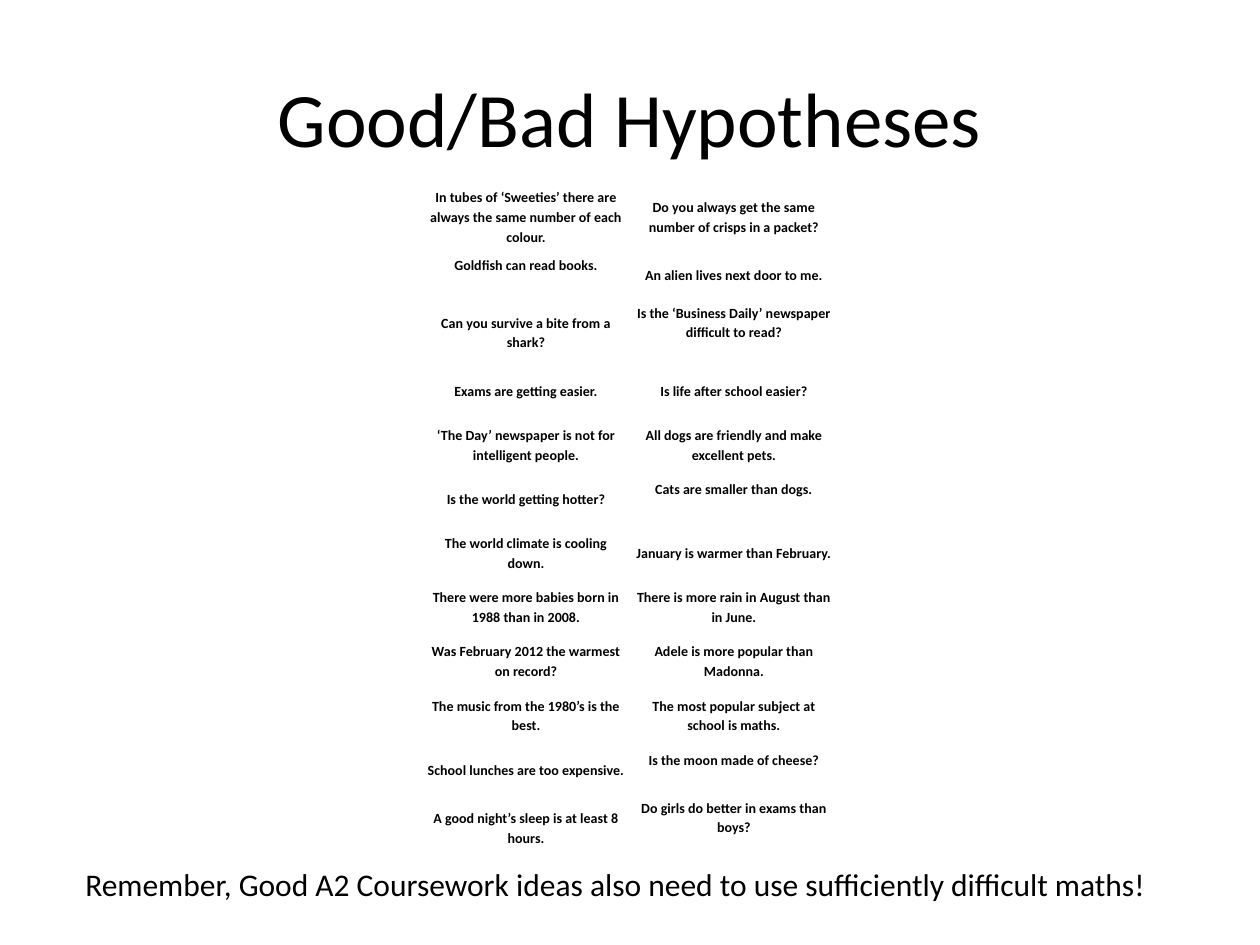
"""Build a slide with a two-column table of good and bad hypotheses."""
from lxml import etree
from pptx import Presentation
from pptx.dml.color import RGBColor
from pptx.enum.text import MSO_ANCHOR, PP_ALIGN
from pptx.oxml.ns import qn
from pptx.util import Inches, Pt

CENTER = PP_ALIGN.CENTER
MIDDLE = MSO_ANCHOR.MIDDLE
FONT = "Calibri"
BLACK = "000000"
WHITE = "FFFFFF"
COLUMN = 1.65
ROW = 0.43
TALL_ROW = 0.49
TALL_ROWS = (0, 2, 11)
LINE = 0.16

HYPOTHESES = [
    ("In tubes of ‘Sweeties’ there are always the same number of each colour.",
     "Do you always get the same number of crisps in a packet?"),
    ("Goldfish can read books.", "An alien lives next door to me."),
    ("Can you survive a bite from a shark?",
     "Is the ‘Business Daily’ newspaper difficult to read?"),
    ("Exams are getting easier.", "Is life after school easier?"),
    ("‘The Day’ newspaper is not for intelligent people.",
     "All dogs are friendly and make excellent pets."),
    ("Is the world getting hotter?", "Cats are smaller than dogs."),
    ("The world climate is cooling down.", "January is warmer than February."),
    ("There were more babies born in 1988 than in 2008.",
     "There is more rain in August than in June."),
    ("Was February 2012 the warmest on record?",
     "Adele is more popular than Madonna."),
    ("The music from the 1980’s is the best.",
     "The most popular subject at school is maths."),
    ("School lunches are too expensive.", "Is the moon made of cheese?"),
    ("A good night’s sleep is at least 8 hours.",
     "Do girls do better in exams than boys?"),
]
RAISED = {(1, 0), (2, 1), (5, 1), (10, 1), (11, 1)}


def write(frame, text, size, bold=False):
    frame.text = text
    para = frame.paragraphs[0]
    para.alignment = CENTER
    font = para.runs[0].font
    font.name, font.size, font.bold = FONT, Pt(size), bold
    font.color.rgb = RGBColor.from_string(BLACK)
    return para


def add_border(cell, side, width):
    line = etree.SubElement(cell._tc.get_or_add_tcPr(), qn(f"a:ln{side}"), w=str(Pt(width)))
    fill = etree.SubElement(line, qn("a:solidFill"))
    etree.SubElement(fill, qn("a:srgbClr"), val=WHITE)


deck = Presentation()
deck.slide_width, deck.slide_height = Inches(10), Inches(7.5)
page = deck.slides.add_slide(deck.slide_layouts[5])

title = page.shapes.title
title.left, title.top = Inches(0.5), Inches(0.3)
title.width, title.height = Inches(9), Inches(1.25)
title.text_frame.vertical_anchor = MIDDLE
write(title.text_frame, "Good/Bad Hypotheses", 44)

heights = [TALL_ROW if row in TALL_ROWS else ROW for row in range(len(HYPOTHESES))]
table = page.shapes.add_table(
    len(HYPOTHESES), 2, Inches(3.35), Inches(1.47),
    Inches(2 * COLUMN), Inches(sum(heights))).table
table.first_row = table.horz_banding = False
for column in table.columns:
    column.width = Inches(COLUMN)

for row, pair in enumerate(HYPOTHESES):
    table.rows[row].height = Inches(heights[row])
    for column, text in enumerate(pair):
        cell = table.cell(row, column)
        cell.vertical_anchor = MIDDLE
        cell.margin_left = cell.margin_right = Inches(0.04)
        cell.margin_top = 0
        cell.margin_bottom = Inches(LINE if (row, column) in RAISED else 0)
        write(cell.text_frame, text, 8, True).line_spacing = 1.15
        for side in "LRTB":
            add_border(cell, side, 3 if row == 0 and side == "B" else 1)
        cell.fill.solid()
        cell.fill.fore_color.rgb = RGBColor.from_string(WHITE)

reminder = page.shapes.add_textbox(Inches(0.28), Inches(6.82), Inches(9.21), Inches(0.4))
reminder.text_frame.word_wrap = True
write(reminder.text_frame,
      "Remember, Good A2 Coursework ideas also need to use sufficiently difficult maths!", 18)

deck.save("out.pptx")
